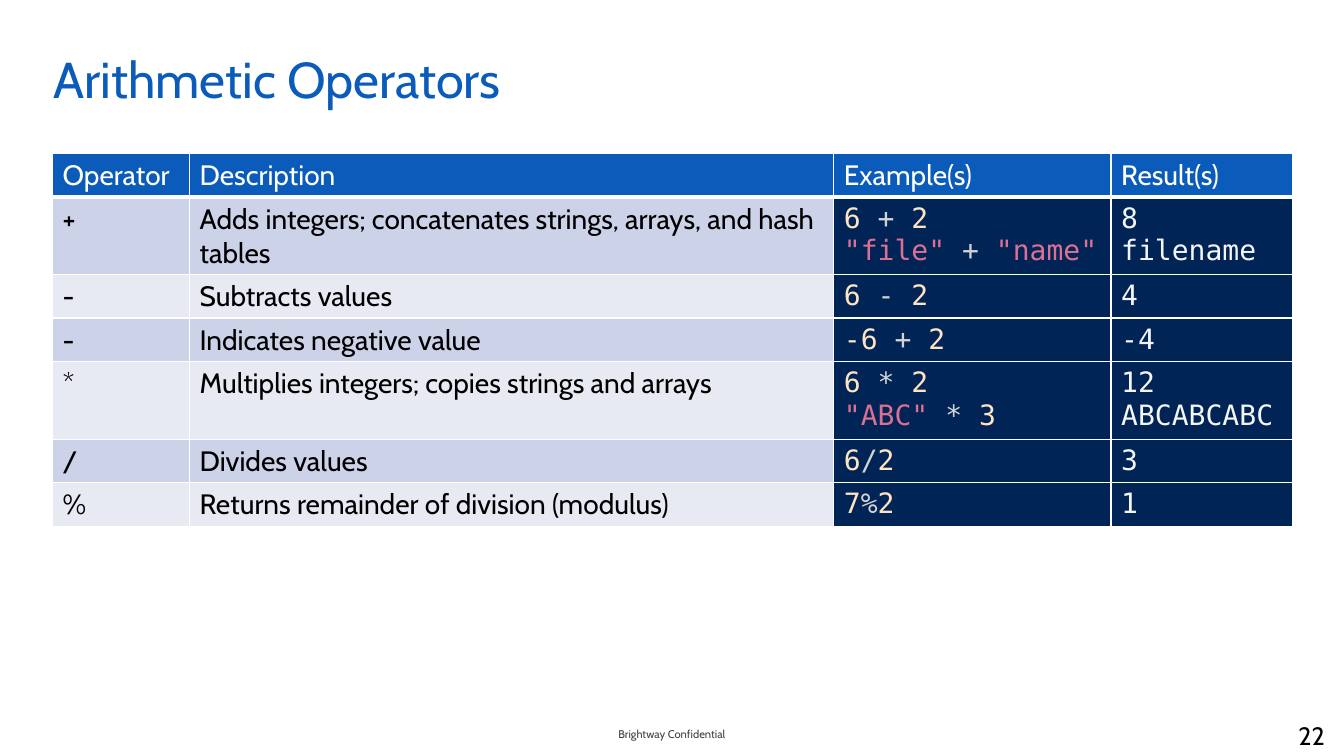
from lxml import etree
from pptx import Presentation
from pptx.dml.color import RGBColor
from pptx.enum.text import MSO_ANCHOR as Anchor, MSO_AUTO_SIZE as AutoSize, PP_ALIGN as Align
from pptx.oxml import parse_xml
from pptx.oxml.ns import nsdecls
from pptx.util import Inches, Pt

BLUE, WHITE, BLACK = "0A5BBA", "FFFFFF", "000000"
CONSOLE, BANDS = "012456", ("CCD2E7", "E7EAF3")
NUMBER, OPERATOR, STRING, OUTPUT = "FFE4C4", "D3D3D3", "DB7093", "F5F5F5"
SANS, MONO = "Cabin", "DejaVu Sans Mono"


def color(value):
    return RGBColor.from_string(value)


def add_run(paragraph, text, size, font_name, font_color):
    run = paragraph.add_run()
    run.text = text
    run.font.size = Pt(size)
    run.font.name = font_name
    run.font.bold = False
    run.font.color.rgb = color(font_color)


presentation = Presentation()
presentation.slide_width = Inches(13.33)
presentation.slide_height = Inches(7.5)
slide = presentation.slides.add_slide(presentation.slide_layouts[5])

title = slide.shapes.title
title.left, title.top, title.width, title.height = map(Inches, (0.33, 0.33, 12.33, 0.75))
frame = title.text_frame
frame.auto_size = AutoSize.NONE
frame.vertical_anchor = Anchor.TOP
frame.margin_left, frame.margin_top = Inches(0.2), Inches(0.15)
frame.margin_right, frame.margin_bottom = Inches(0.1), Inches(0.05)
frame.paragraphs[0].alignment = Align.LEFT
add_run(frame.paragraphs[0], "Arithmetic Operators", 36, SANS, BLUE)

footers = [
    ("Brightway Confidential", 5.11, 7.08, Align.CENTER, 8, "3F3F3F"),
    ("22", 10.23, 7.1, Align.RIGHT, 18, BLACK),
]
for text, left, top, alignment, size, font_color in footers:
    box = slide.shapes.add_textbox(Inches(left), Inches(top), Inches(3.11), Inches(0.4))
    frame = box.text_frame
    frame.word_wrap = True
    frame.vertical_anchor = Anchor.MIDDLE
    frame.margin_left = frame.margin_right = Inches(0.2)
    frame.paragraphs[0].alignment = alignment
    add_run(frame.paragraphs[0], text, size, SANS, font_color)

headings = ["Operator", "Description", "Example(s)", "Result(s)"]
operators = [
    ("+", "Adds integers; concatenates strings, arrays, and hash tables",
     [("6 ", "+ ", "2"), ('"file" ', "+ ", '"name"')], ["8", "filename"]),
    ("-", "Subtracts values", [("6 ", "- ", "2")], ["4"]),
    ("-", "Indicates negative value", [("-6 ", "+ ", "2")], ["-4"]),
    ("*", "Multiplies integers; copies strings and arrays",
     [("6 ", "* ", "2"), ('"ABC" ', "* ", "3")], ["12", "ABCABCABC"]),
    ("/", "Divides values", [("6", "/", "2")], ["3"]),
    ("%", "Returns remainder of division (modulus)", [("7", "%", "2")], ["1"]),
]
column_widths = [1.36, 6.39, 2.75, 1.8]
row_height = 0.41
row_count = len(operators) + 1
table = slide.shapes.add_table(
    row_count, len(headings), Inches(0.52), Inches(1.52),
    Inches(sum(column_widths)), Inches(row_height * row_count)).table
for column, width in zip(table.columns, column_widths):
    column.width = Inches(width)
for row in table.rows:
    row.height = Inches(row_height)

for column_index, heading in enumerate(headings):
    cell = table.cell(0, column_index)
    properties = cell._tc.get_or_add_tcPr()
    for side, points in (("L", 1), ("R", 1), ("T", 1), ("B", 3)):
        border = parse_xml(f'<a:ln{side} {nsdecls("a")} w="{Pt(points)}"/>')
        fill = etree.SubElement(border, border.tag.split("}")[0] + "}solidFill")
        etree.SubElement(fill, border.tag.split("}")[0] + "}srgbClr", val=WHITE)
        properties.append(border)
    cell.fill.solid()
    cell.fill.fore_color.rgb = color(BLUE)
    add_run(cell.text_frame.paragraphs[0], heading, 20, SANS, WHITE)

for row_index, (symbol, description, examples, results) in enumerate(operators, 1):
    columns = [[(symbol,)], [(description,)], examples, [(result,) for result in results]]
    for column_index, lines in enumerate(columns):
        cell = table.cell(row_index, column_index)
        cell.fill.solid()
        cell.fill.fore_color.rgb = color(BANDS[(row_index - 1) % 2] if column_index < 2 else CONSOLE)
        for line_index, line in enumerate(lines):
            frame = cell.text_frame
            paragraph = frame.add_paragraph() if line_index else frame.paragraphs[0]
            for token in line:
                if column_index < 2:
                    font_color = BLACK
                elif column_index == 3:
                    font_color = OUTPUT
                elif token.startswith('"'):
                    font_color = STRING
                else:
                    font_color = OPERATOR if token.strip() in "+-*/%" else NUMBER
                add_run(paragraph, token, 20, SANS if column_index < 2 else MONO, font_color)

presentation.save("out.pptx")
